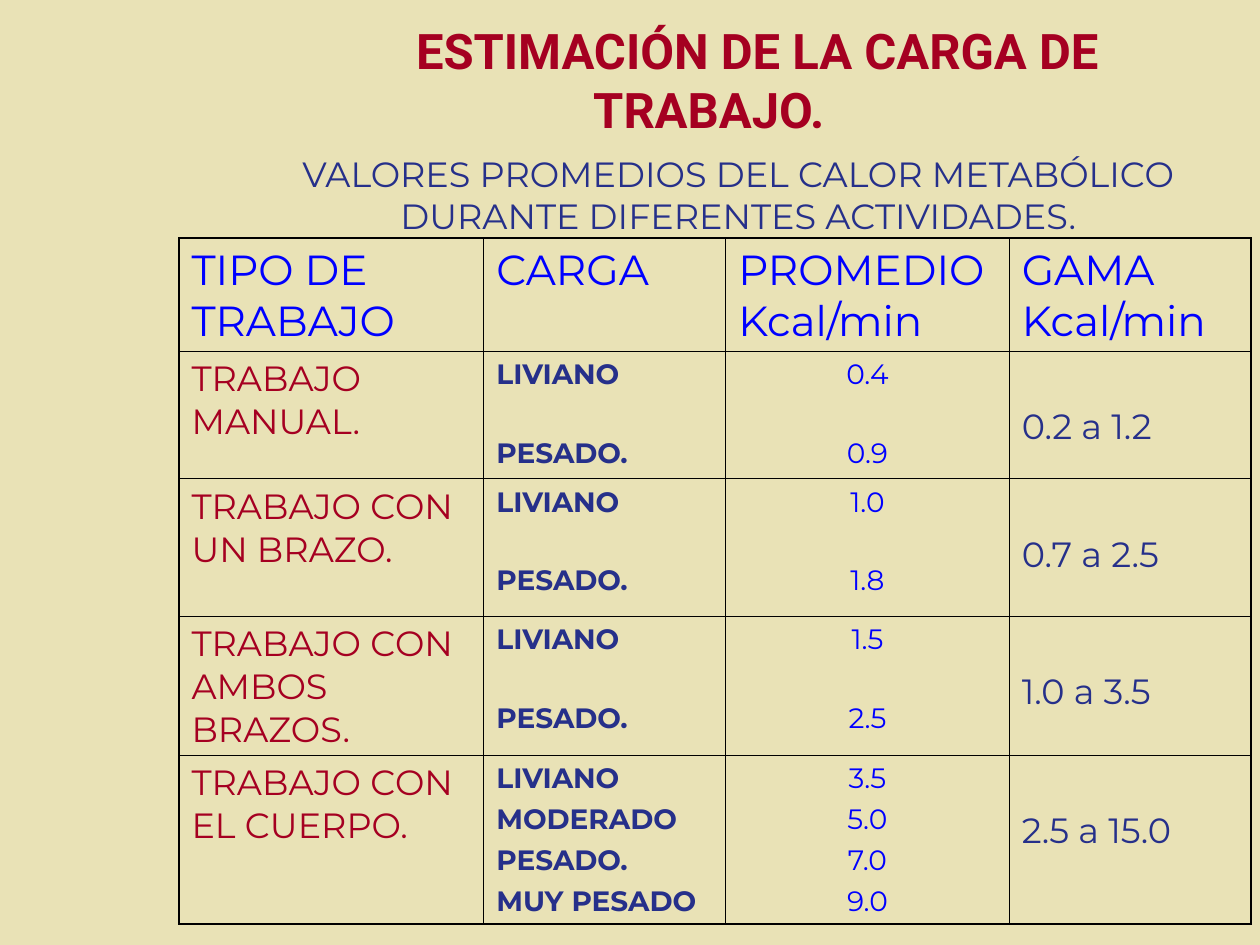
from lxml.etree import SubElement
from pptx import Presentation
from pptx.dml.color import RGBColor
from pptx.enum.text import MSO_ANCHOR as Anchor, PP_ALIGN as Align
from pptx.oxml.ns import qn
from pptx.util import Inches, Pt

NAVY, RED, BLUE, BLACK, SAND = "26308A", "A50021", "0000FF", "000000", "E9E2B6"
LEFT, TABLE_TOP = 1.42, 1.89
COLUMNS = [2.42, 1.92, 2.25, 1.92]
ROWS = [0.9, 1.01, 1.09, 1.09, 1.34]


def color(hex_string):
    return RGBColor.from_string(hex_string)


def write(frame, lines, size, hex_string, font="Montserrat", bold=False,
          align=Align.LEFT, gap=0):
    """Write one paragraph per line, with a gap in points between them."""
    frame.word_wrap = True
    for index, line in enumerate(lines):
        paragraph = frame.add_paragraph() if index else frame.paragraphs[0]
        paragraph.alignment = align
        paragraph.space_before = Pt(gap if index else 0)
        run = paragraph.add_run()
        run.text = line
        run.font.name, run.font.size, run.font.bold = font, Pt(size), bold
        run.font.color.rgb = color(hex_string)


presentation = Presentation()
presentation.slide_width, presentation.slide_height = Inches(10), Inches(7.5)
slide = presentation.slides.add_slide(presentation.slide_layouts[6])
slide.background.fill.solid()
slide.background.fill.fore_color.rgb = color(SAND)

# Title, with its first line indented
title = slide.shapes.add_textbox(Inches(1.5), Inches(0.17), Inches(8.25), Inches(0.92))
title.text_frame.vertical_anchor = Anchor.MIDDLE
write(title.text_frame, ["ESTIMACIÓN DE LA CARGA DE TRABAJO."], 28, RED,
      font="Roboto", bold=True, align=Align.CENTER)
title_format = title.text_frame.paragraphs[0]._p.get_or_add_pPr()
title_format.set("indent", str(Inches(0.77)))

# Subtitle
subtitle = slide.shapes.add_textbox(Inches(LEFT), Inches(1.08), Inches(8.5), Inches(0.81))
subtitle.text_frame.margin_top = Inches(0.13)
write(subtitle.text_frame,
      ["VALORES PROMEDIOS DEL CALOR METABÓLICO DURANTE DIFERENTES ACTIVIDADES."],
      20, NAVY, align=Align.CENTER)
subtitle_format = subtitle.text_frame.paragraphs[0]._p.get_or_add_pPr()
subtitle_format.set("marL", str(Inches(0.38)))

# Table grid
table = slide.shapes.add_table(
    len(ROWS), len(COLUMNS), Inches(LEFT), Inches(TABLE_TOP),
    Inches(sum(COLUMNS)), Inches(sum(ROWS))).table
table.first_row = table.horz_banding = False
for column, width in zip(table.columns, COLUMNS):
    column.width = Inches(width)
for row, height in zip(table.rows, ROWS):
    row.height = Inches(height)

# Header row
headers = ["TIPO DE TRABAJO", "CARGA", "PROMEDIO Kcal/min", "GAMA Kcal/min"]
for index, header in enumerate(headers):
    write(table.cell(0, index).text_frame, [header], 24, BLUE)

# Work type, loads, averages and range
two_loads = ["LIVIANO", "PESADO."]
four_loads = ["LIVIANO", "MODERADO", "PESADO.", "MUY PESADO"]
work_types = [
    ("TRABAJO MANUAL.", two_loads, ["0.4", "0.9"], "0.2 a 1.2"),
    ("TRABAJO CON UN BRAZO.", two_loads, ["1.0", "1.8"], "0.7 a 2.5"),
    ("TRABAJO CON AMBOS BRAZOS.", two_loads, ["1.5", "2.5"], "1.0 a 3.5"),
    ("TRABAJO CON EL CUERPO.", four_loads, ["3.5", "5.0", "7.0", "9.0"], "2.5 a 15.0"),
]
for index, (work, loads, averages, span) in enumerate(work_types, start=1):
    gap = 25.5 if len(loads) == 2 else 4
    work_cell, load_cell, average_cell, span_cell = table.rows[index].cells
    write(work_cell.text_frame, [work], 20, RED)
    write(load_cell.text_frame, loads, 16, NAVY, bold=True, gap=gap)
    write(average_cell.text_frame, averages, 16, BLUE, align=Align.CENTER, gap=gap)
    write(span_cell.text_frame, [span], 20, NAVY)
    span_cell.margin_top = Inches(0.43)

# Borders: thicker around the table, thin inside
for row_index in range(len(ROWS)):
    for column_index in range(len(COLUMNS)):
        cell = table.cell(row_index, column_index)
        outer_sides = {
            "a:lnL": column_index == 0,
            "a:lnR": column_index == len(COLUMNS) - 1,
            "a:lnT": row_index == 0,
            "a:lnB": row_index == len(ROWS) - 1,
        }
        properties = cell._tc.get_or_add_tcPr()
        for side, is_outer in outer_sides.items():
            line = SubElement(properties, qn(side), w=str(Pt(1.08 if is_outer else 0.45)))
            fill = SubElement(line, qn("a:solidFill"))
            SubElement(fill, qn("a:srgbClr"), val=BLACK)
        cell.fill.background()

presentation.save("out.pptx")
